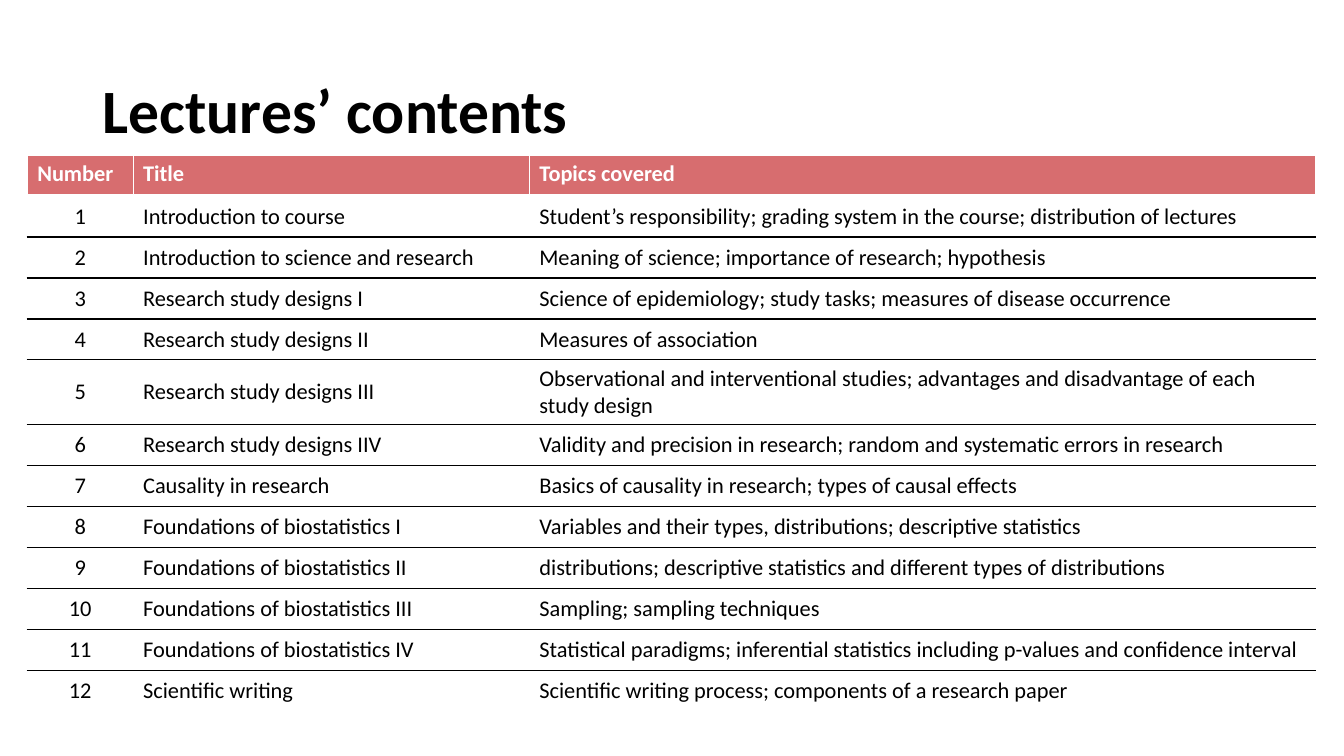
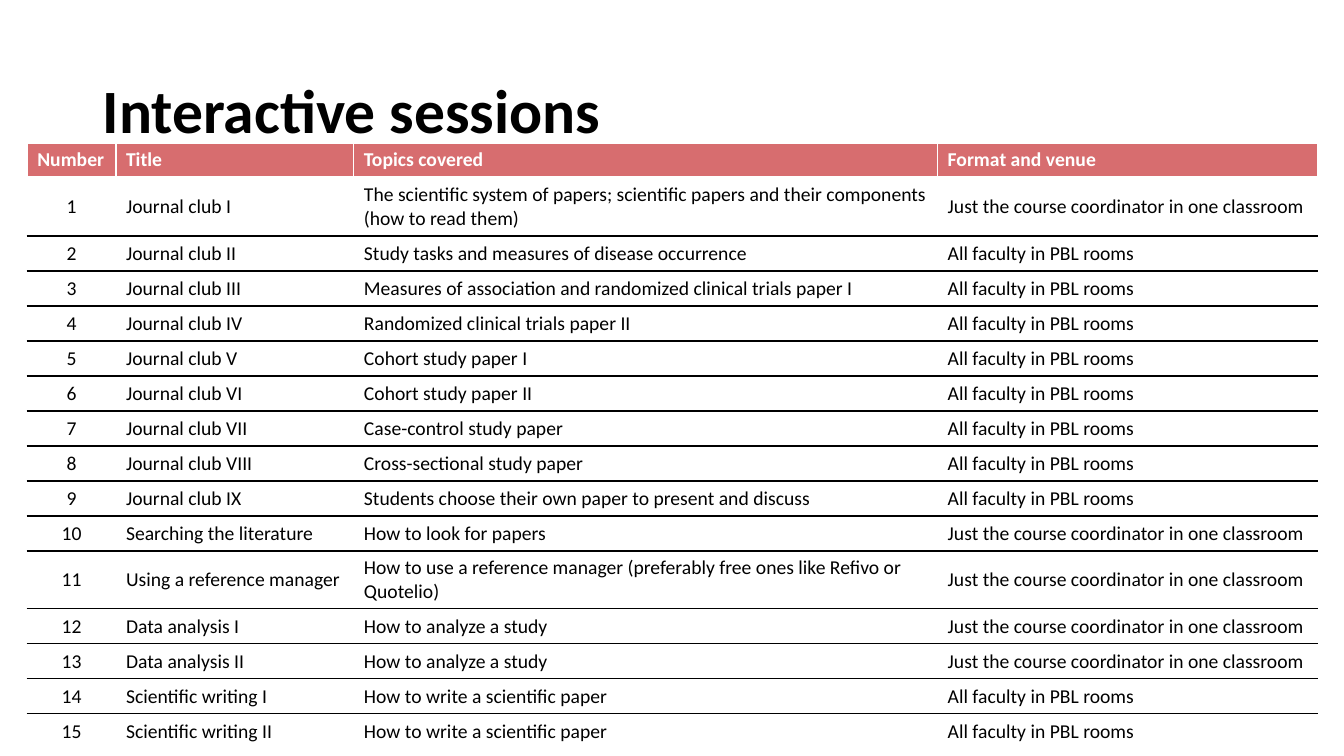
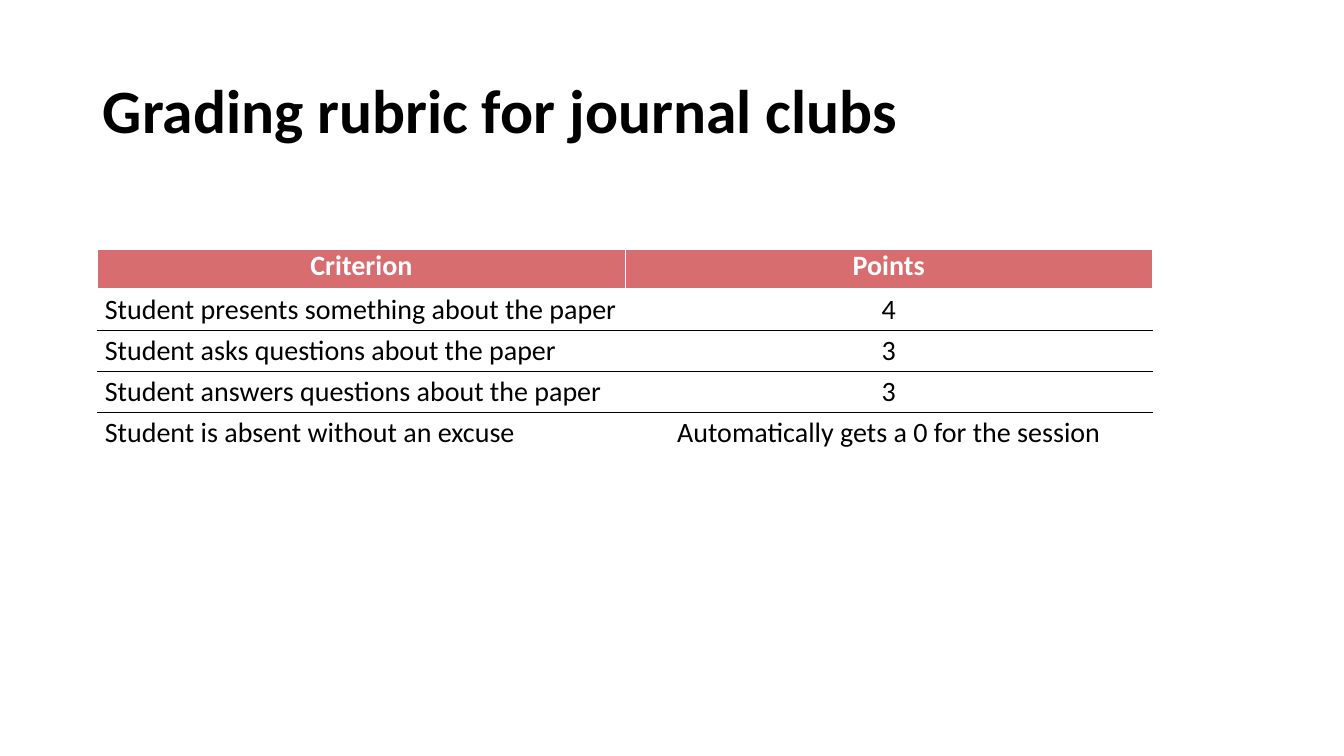
"""Build three course slides, each with a title and a ruled table."""
from lxml.etree import SubElement
from pptx import Presentation
from pptx.dml.color import RGBColor
from pptx.enum.text import MSO_ANCHOR, MSO_AUTO_SIZE, PP_ALIGN
from pptx.oxml.ns import qn
from pptx.util import Inches, Pt

FONT = "Calibri"
BLACK, WHITE, ROSE = "000000", "FFFFFF", "D76D6F"
ONE_ROOM = "Just the course coordinator in one classroom"
PBL_ROOMS = "All faculty in PBL rooms"


def color(value):
    """Turn a hex string into a colour."""
    return RGBColor.from_string(value)


def apply(target, values):
    """Set each attribute of the target from a dict."""
    for name, value in values.items():
        setattr(target, name, value)


class CourseDeck:
    """Hold the shared style and the current slide."""

    title_box = dict(left=Inches(0.92), top=Inches(0.4), width=Inches(11.5), height=Inches(1.45))
    title_frame = dict(vertical_anchor=MSO_ANCHOR.MIDDLE, word_wrap=True, auto_size=MSO_AUTO_SIZE.NONE)
    title_para = dict(alignment=PP_ALIGN.LEFT, line_spacing=0.9)

    def __init__(self):
        """Start a widescreen deck."""
        self.deck = Presentation()
        apply(self.deck, dict(slide_width=Inches(13.33), slide_height=Inches(7.5)))
        self.page = None

    def add_page(self, title):
        """Add a slide with the shared title style."""
        self.page = self.deck.slides.add_slide(self.deck.slide_layouts[5])
        box = self.page.shapes.title
        apply(box, self.title_box)
        apply(box.text_frame, self.title_frame)
        self.add_text(box.text_frame, title, 44, BLACK, True, self.title_para)

    def add_text(self, frame, text, size, shade, bold, para_format):
        """Fill a frame with one formatted paragraph."""
        para = frame.paragraphs[0]
        apply(para, para_format)
        span = para.add_run()
        span.text = text
        apply(span.font, dict(name=FONT, size=Pt(size), bold=bold))
        span.font.color.rgb = color(shade)

    def draw_borders(self, cell, top, bottom, bottom_width):
        """Rule the four sides of a cell, with white sides."""
        properties = cell._tc.get_or_add_tcPr()
        sides = [("L", WHITE, 1), ("R", WHITE, 1), ("T", top, 1), ("B", bottom, bottom_width)]
        for place, (side, shade, width) in enumerate(sides):
            line = SubElement(properties, qn(f"a:ln{side}"), w=str(Pt(width)))
            fill = SubElement(line, qn("a:solidFill"))
            SubElement(fill, qn("a:srgbClr"), val=shade)
            properties.insert(place, line)

    def add_table(self, rows, left, top, widths, height, size, centred,
                  header_align=PP_ALIGN.LEFT, margins=None):
        """Add a table with a rose header and thin black rules between rows."""
        frame = self.page.shapes.add_table(
            len(rows), len(widths), Inches(left), Inches(top), Inches(sum(widths)), Inches(height))
        table = frame.table
        table.horz_banding = False
        for column, width in zip(table.columns, widths):
            column.width = Inches(width)
        last = len(rows) - 1
        for row, texts in enumerate(rows):
            header = row == 0
            for column, text in enumerate(texts):
                cell = table.cell(row, column)
                apply(cell, margins or {})
                cell.vertical_anchor = MSO_ANCHOR.TOP if header else MSO_ANCHOR.MIDDLE
                cell.fill.solid()
                cell.fill.fore_color.rgb = color(ROSE if header else WHITE)
                self.draw_borders(cell, BLACK if row > 1 else WHITE,
                                  BLACK if 0 < row < last else WHITE, 3 if header else 1)
                body_align = PP_ALIGN.CENTER if column == centred else PP_ALIGN.LEFT
                self.add_text(cell.text_frame, text, size, WHITE if header else BLACK, header,
                              dict(alignment=header_align if header else body_align))


def numbered(header, entries):
    """Put a running number before each entry, under a header."""
    return [("Number", *header)] + [(str(count), *entry) for count, entry in enumerate(entries, 1)]


LECTURES = [
    ("Introduction to course",
     "Student’s responsibility; grading system in the course; distribution of lectures"),
    ("Introduction to science and research", "Meaning of science; importance of research; hypothesis"),
    ("Research study designs I", "Science of epidemiology; study tasks; measures of disease occurrence"),
    ("Research study designs II", "Measures of association"),
    ("Research study designs III",
     "Observational and interventional studies; advantages and disadvantage of each study design"),
    ("Research study designs IIV",
     "Validity and precision in research; random and systematic errors in research"),
    ("Causality in research", "Basics of causality in research; types of causal effects"),
    ("Foundations of biostatistics I", "Variables and their types, distributions; descriptive statistics"),
    ("Foundations of biostatistics II",
     "distributions; descriptive statistics and different types of distributions"),
    ("Foundations of biostatistics III", "Sampling; sampling techniques"),
    ("Foundations of biostatistics IV",
     "Statistical paradigms; inferential statistics including p-values and confidence interval"),
    ("Scientific writing", "Scientific writing process; components of a research paper"),
]

SESSIONS = [
    ("Journal club I",
     "The scientific system of papers; scientific papers and their components (how to read them)", ONE_ROOM),
    ("Journal club II", "Study tasks and measures of disease occurrence", PBL_ROOMS),
    ("Journal club III", "Measures of association and randomized clinical trials paper I", PBL_ROOMS),
    ("Journal club IV", "Randomized clinical trials paper II", PBL_ROOMS),
    ("Journal club V", "Cohort study paper I", PBL_ROOMS),
    ("Journal club VI", "Cohort study paper II", PBL_ROOMS),
    ("Journal club VII", "Case-control study paper", PBL_ROOMS),
    ("Journal club VIII", "Cross-sectional study paper", PBL_ROOMS),
    ("Journal club IX", "Students choose their own paper to present and discuss", PBL_ROOMS),
    ("Searching the literature", "How to look for papers", ONE_ROOM),
    ("Using a reference manager",
     "How to use a reference manager (preferably free ones like Refivo or Quotelio)", ONE_ROOM),
    ("Data analysis I", "How to analyze a study", ONE_ROOM),
    ("Data analysis II", "How to analyze a study", ONE_ROOM),
    ("Scientific writing I", "How to write a scientific paper", PBL_ROOMS),
    ("Scientific writing II", "How to write a scientific paper", PBL_ROOMS),
]

RUBRIC = [
    ("Criterion", "Points"),
    ("Student presents something about the paper", "4"),
    ("Student asks questions about the paper", "3"),
    ("Student answers questions about the paper", "3"),
    ("Student is absent without an excuse", "Automatically gets a 0 for the session"),
]

course = CourseDeck()

course.add_page("Lectures’ contents")
course.add_table(numbered(("Title", "Topics covered"), LECTURES),
                 0.27, 1.54, [1.05, 3.93, 7.8], 5.28, 16, centred=0)

course.add_page("Interactive sessions")
course.add_table(numbered(("Title", "Topics covered", "Format and venue"), SESSIONS),
                 0.27, 1.42, [0.88, 2.36, 5.79, 3.77], 5.56, 14, centred=0)

course.add_page("Grading rubric for journal clubs")
course.add_table(RUBRIC, 0.97, 2.47, [5.23, 5.23], 2.03, 20, centred=1, header_align=PP_ALIGN.CENTER,
                 margins=dict(margin_left=Inches(0.07), margin_right=Inches(0.07),
                              margin_top=0, margin_bottom=0))

course.deck.save("out.pptx")
